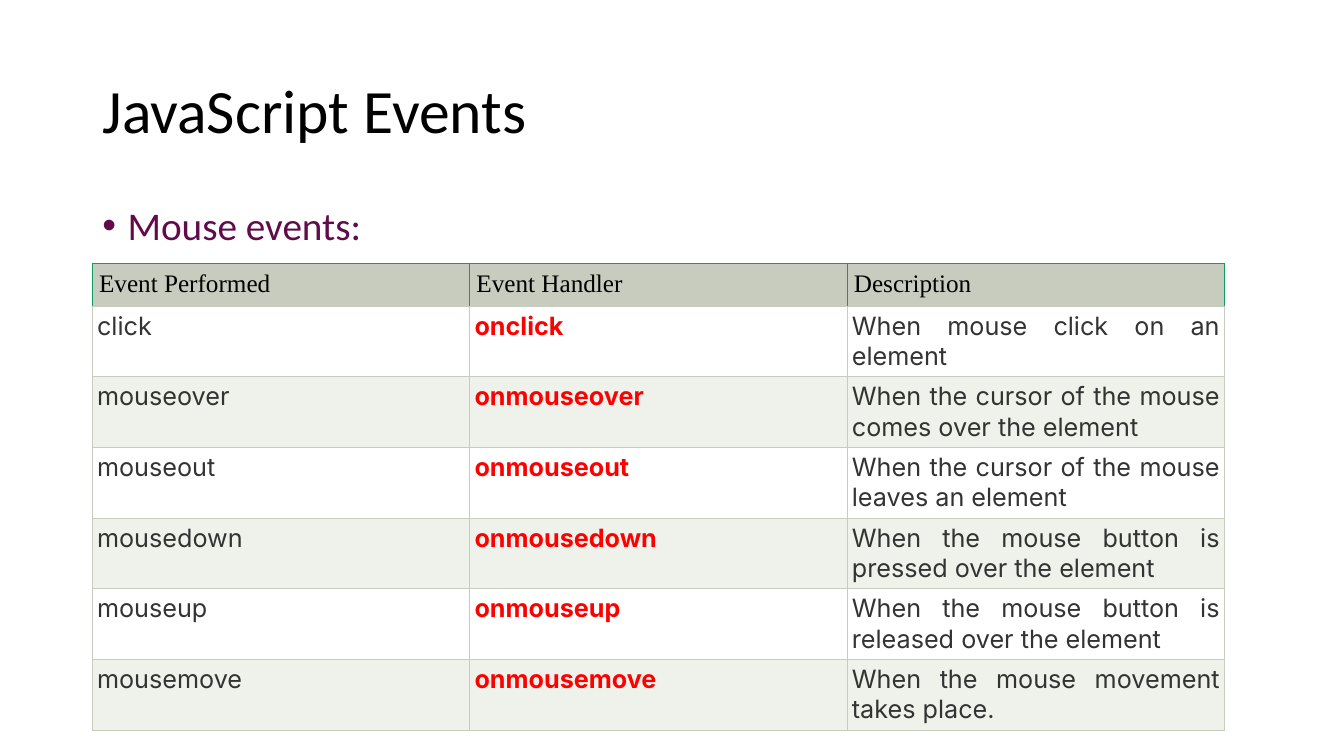
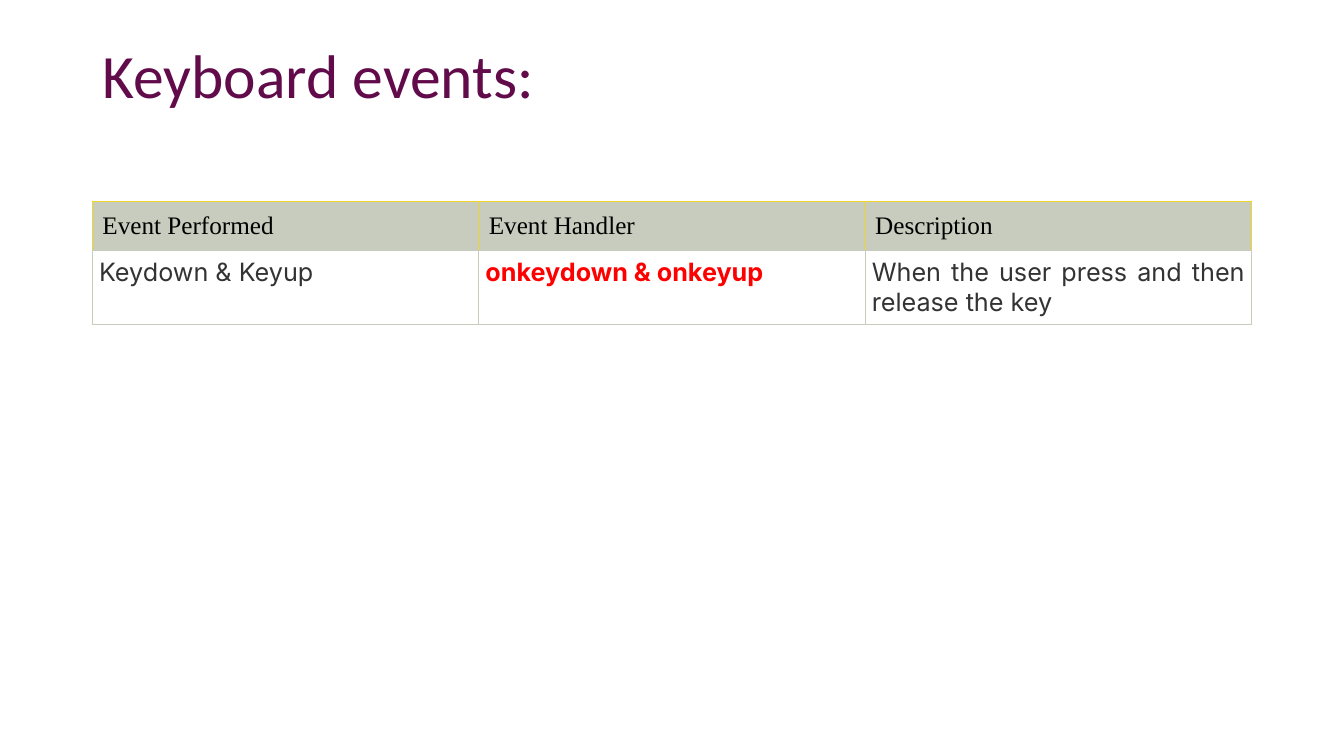
from dataclasses import dataclass
from pptx import Presentation
from pptx.dml.color import RGBColor
from pptx.enum.text import MSO_ANCHOR, MSO_AUTO_SIZE, PP_ALIGN
from pptx.oxml.ns import qn
from pptx.util import Pt
from lxml.etree import SubElement


@dataclass(frozen=True)
class Theme:
    black: str = "000000"
    plum: str = "610B4B"
    red: str = "FF0000"
    text: str = "333333"
    white: str = "FFFFFF"
    band: str = "EFF1EB"
    sage: str = "C7CCBE"
    green: str = "109E60"
    yellow: str = "F0D52F"
    heading_font: str = "Calibri"
    header_font: str = "Times New Roman"
    cell_font: str = "Inter"
    title_size: float = 44
    body_size: float = 28
    cell_size: float = 18
    border_width: float = 0.6


@dataclass(frozen=True)
class TableStyle:
    header_edge: str
    header_inset: float
    row_inset: float
    header_height: float
    row_height: float


THEME = Theme()
TITLE_BOX = (66, 28.8, 828, 104.4)
BODY_BOX = (66, 144, 828, 342.7)
HEADERS = ("Event Performed", "Event Handler", "Description")
MOUSE_EVENTS = (
    ("click", "onclick", "When mouse click on an element"),
    ("mouseover", "onmouseover", "When the cursor of the mouse comes over the element"),
    ("mouseout", "onmouseout", "When the cursor of the mouse leaves an element"),
    ("mousedown", "onmousedown", "When the mouse button is pressed over the element"),
    ("mouseup", "onmouseup", "When the mouse button is released over the element"),
    ("mousemove", "onmousemove", "When the mouse movement takes place."),
)
KEYBOARD_EVENTS = (
    ("Keydown & Keyup", "onkeydown & onkeyup",
     "When the user press and then release the key"),
)
MOUSE_STYLE = TableStyle(THEME.green, 4.8, 3.4, 30.6, 50.5)
KEYBOARD_STYLE = TableStyle(THEME.yellow, 7.2, 4.8, 34.8, 52.7)


def write_text(frame, text, *, font, size, color, bold=False,
               align=PP_ALIGN.LEFT, line_spacing=1.0, bullet=None, indent=0):
    para = frame.paragraphs[0]
    if bullet:
        properties = para._p.get_or_add_pPr()
        properties.set("marL", str(Pt(indent)))
        properties.set("indent", str(-Pt(indent)))
        SubElement(properties, qn("a:buFont")).set("typeface", "Arial")
        SubElement(properties, qn("a:buChar")).set("char", bullet)
    para.alignment = align
    para.line_spacing = line_spacing
    para.space_before = Pt(0)
    span = para.add_run()
    span.text = text
    span.font.name = font
    span.font.size = Pt(size)
    span.font.bold = bold
    span.font.color.rgb = RGBColor.from_string(color)


def fill_placeholder(shape, box, text, anchor, **text_format):
    shape.left, shape.top, shape.width, shape.height = map(Pt, box)
    frame = shape.text_frame
    frame.word_wrap = True
    frame.auto_size = MSO_AUTO_SIZE.NONE
    frame.vertical_anchor = anchor
    write_text(frame, text, font=THEME.heading_font, line_spacing=0.9, **text_format)


def add_title(page, text, color, anchor):
    fill_placeholder(page.shapes.title, TITLE_BOX, text, anchor,
                     size=THEME.title_size, color=color)


def add_bullet(page, text):
    fill_placeholder(page.placeholders[1], BODY_BOX, text, MSO_ANCHOR.TOP,
                     size=THEME.body_size, color=THEME.plum, bullet="•", indent=18)


def draw_borders(cell, edge, bottom):
    properties = cell._tc.get_or_add_tcPr()
    for side, color in (("L", edge), ("R", edge), ("T", edge), ("B", bottom)):
        line = SubElement(properties, qn(f"a:ln{side}"), w=str(Pt(THEME.border_width)))
        solid = SubElement(line, qn("a:solidFill"))
        SubElement(solid, qn("a:srgbClr"), val=color)


def fill_cell(cell, text, inset, fill, edge, **text_format):
    cell.margin_left = cell.margin_right = Pt(inset)
    cell.margin_top = cell.margin_bottom = Pt(inset)
    draw_borders(cell, edge, THEME.sage)
    cell.fill.solid()
    cell.fill.fore_color.rgb = RGBColor.from_string(fill)
    write_text(cell.text_frame, text, size=THEME.cell_size, **text_format)


def add_event_table(page, left, top, width, events, style):
    heights = [style.header_height] + [style.row_height] * len(events)
    table = page.shapes.add_table(
        len(heights), len(HEADERS), Pt(left), Pt(top), Pt(width), Pt(sum(heights))).table
    table.first_row = table.horz_banding = False
    for column in table.columns:
        column.width = Pt(width / len(HEADERS))
    for row, height in zip(table.rows, heights):
        row.height = Pt(height)
    for column, text in enumerate(HEADERS):
        fill_cell(table.cell(0, column), text, style.header_inset, THEME.sage,
                  style.header_edge, font=THEME.header_font, color=THEME.black)
    for row, event in enumerate(events, 1):
        fill = THEME.white if row % 2 else THEME.band
        for column, text in enumerate(event):
            is_handler = column == 1
            fill_cell(table.cell(row, column), text, style.row_inset, fill, THEME.sage,
                      font=THEME.cell_font, bold=is_handler, align=PP_ALIGN.JUSTIFY,
                      color=THEME.red if is_handler else THEME.text)


def build_mouse_page(deck):
    page = deck.slides.add_slide(deck.slide_layouts[1])
    add_title(page, "JavaScript Events", THEME.black, MSO_ANCHOR.MIDDLE)
    add_bullet(page, "Mouse events:")
    add_event_table(page, 66, 188, 808.8, MOUSE_EVENTS, MOUSE_STYLE)


def build_keyboard_page(deck):
    page = deck.slides.add_slide(deck.slide_layouts[5])
    add_title(page, "Keyboard events:", THEME.plum, MSO_ANCHOR.TOP)
    add_event_table(page, 66, 144, 828, KEYBOARD_EVENTS, KEYBOARD_STYLE)


def main():
    deck = Presentation()
    deck.slide_width, deck.slide_height = Pt(960), Pt(540)
    build_mouse_page(deck)
    build_keyboard_page(deck)
    deck.save("out.pptx")


if __name__ == "__main__":
    main()
